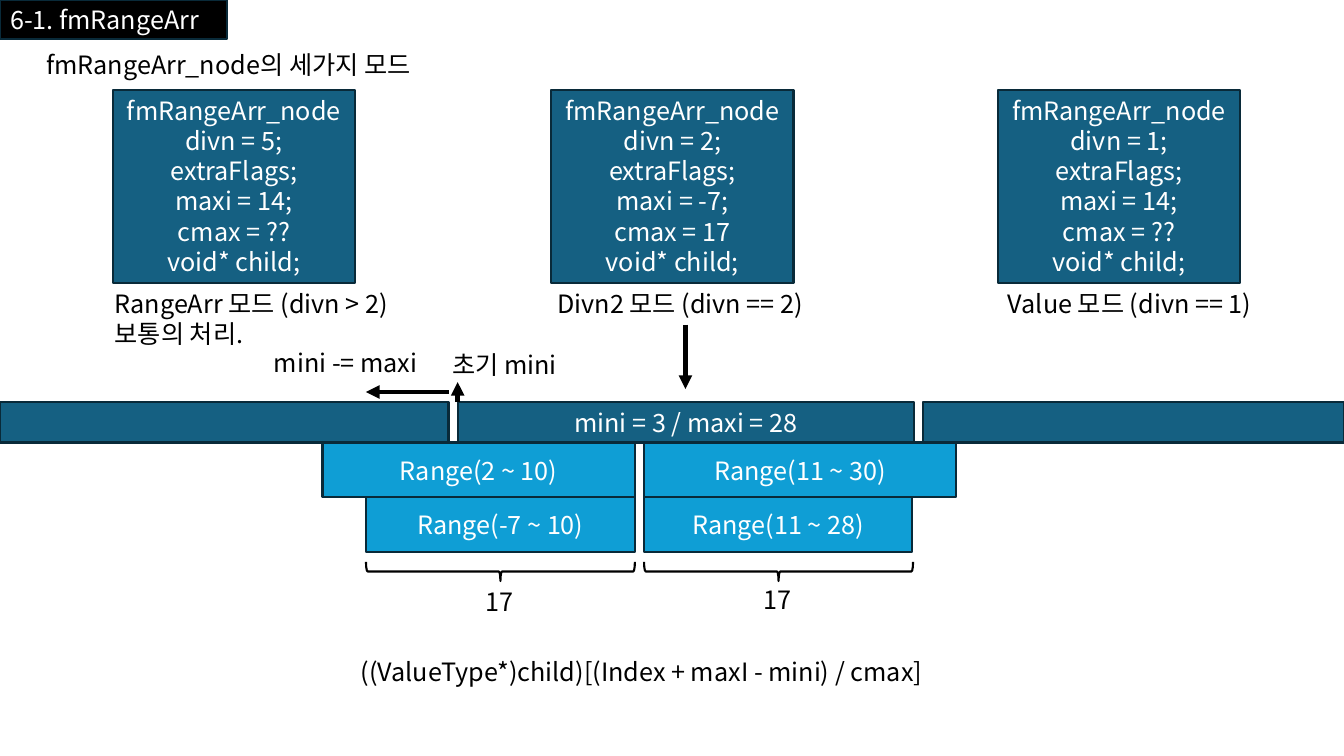
"""Build the slide on the three modes of fmRangeArr_node."""
from lxml import etree
from pptx import Presentation
from pptx.dml.color import RGBColor
from pptx.enum import shapes as es, text as et
from pptx.oxml.ns import qn
from pptx.util import Pt

FONT = "Noto Sans CJK KR"
HUES = {"ink": "000000", "page": "FFFFFF", "edge": "092A39",
        "deep": "156082", "sky": "0F9ED5"}
WIDE, TALL = 960, 540

TITLE = "6-1. fmRangeArr"
NODES = [(80.6, 5, "14", "??"), (393.8, 2, "-7", "17"), (712.8, 1, "14", "??")]
NODE_TOP, NODE_W, NODE_H = 64.3, 173, 138

NOTES = [
    (26, 31.7, 322, ["fmRangeArr_node의 세가지 모드"]),
    (74.9, 202.3, 223, ["RangeArr 모드 (divn > 2)", "보통의 처리."]),
    (391, 202.3, 198, ["Divn2 모드 (divn == 2)"]),
    (712.8, 202.3, 209.5, ["Value 모드 (divn == 1)"]),
    (316, 246.2, 99.4, ["초기 mini"]),
    (188.6, 244.8, 124.6, ["mini -= maxi"]),
    (339.8, 415.4, 36, ["17"]),
    (538.6, 414, 36, ["17"]),
    (250.6, 465.1, 480, ["((ValueType*)child)[(Index + maxI - mini) / cmax]"]),
]

BAR_TOP, BAR_H, STEP = 287.3, 28.8, 39.2
FIRST, LAST, GAP = 326.9, 653, 6.5
LEFT, RIGHT, INNER = 453.5, 460, 261.4
BARS = [(0, FIRST - GAP, ""), (FIRST, LAST, "mini = 3 / maxi = 28"),
        (LAST + GAP, WIDE, "")]
RANGES = [
    [(230.4, LEFT, "Range(2 ~ 10)"), (RIGHT, 683.2, "Range(11 ~ 30)")],
    [(INNER, LEFT, "Range(-7 ~ 10)"), (RIGHT, 651.6, "Range(11 ~ 28)")],
]
SPANS = [(INNER, LEFT), (RIGHT, LAST - 0.8)]
BRACE_Y, BRACE_H = 408.2, 13.7
ARROWS = [(489.6, 231.8, 489.6, 277.9), (FIRST, BAR_TOP, FIRST, 272.9),
          (FIRST - GAP, 280, INNER, 280)]


def hue(key):
    return RGBColor.from_string(HUES[key])


def write(shape, lines, key, align, anchor):
    frame = shape.text_frame
    frame.text = "\n".join(lines)
    frame.word_wrap = True
    frame.auto_size = et.MSO_AUTO_SIZE.NONE
    frame.vertical_anchor = anchor
    frame.margin_left = frame.margin_right = Pt(7.2)
    frame.margin_top = frame.margin_bottom = Pt(3.6)
    for para in frame.paragraphs:
        para.alignment = align
        for run in para.runs:
            run.font.size = Pt(18)
            run.font.name = FONT
            run.font.color.rgb = hue(key)
            props = run.font._element
            etree.SubElement(props, qn("a:ea")).set("typeface", FONT)


def paint(shape, fill, edge="edge"):
    shape.fill.solid()
    shape.fill.fore_color.rgb = hue(fill)
    shape.line.color.rgb = hue(edge)
    shape.line.width = Pt(1.5)


def block(slide, x, y, w, h, fill, lines, anchor=et.MSO_ANCHOR.MIDDLE):
    box = slide.shapes.add_shape(es.MSO_SHAPE.RECTANGLE, Pt(x), Pt(y), Pt(w), Pt(h))
    box.shadow.inherit = False
    paint(box, fill)
    write(box, lines, "page", et.PP_ALIGN.CENTER, anchor)


def brace(slide, start, end):
    span = end - start
    x = (start + end - BRACE_H) / 2
    mark = slide.shapes.add_shape(es.MSO_SHAPE.RIGHT_BRACE, Pt(x),
                                  Pt(BRACE_Y - span / 2), Pt(BRACE_H), Pt(span))
    mark.rotation = 90
    mark.shadow.inherit = False
    mark.fill.background()
    mark.line.color.rgb = hue("ink")
    mark.line.width = Pt(1.5)


def arrow(slide, *ends):
    link = slide.shapes.add_connector(es.MSO_CONNECTOR.STRAIGHT, *map(Pt, ends))
    link.line.color.rgb = hue("ink")
    link.line.width = Pt(3.25)
    etree.SubElement(link.line._get_or_add_ln(), qn("a:tailEnd")).set("type", "triangle")
    etree.SubElement(link._element.spPr, qn("a:effectLst"))


def main():
    deck = Presentation()
    deck.slide_width, deck.slide_height = Pt(WIDE), Pt(TALL)
    slide = deck.slides.add_slide(deck.slide_layouts[5])

    head = slide.shapes.title
    head.left, head.top, head.width, head.height = Pt(0), Pt(0), Pt(162), Pt(28)
    paint(head, "ink")
    write(head, [TITLE], "page", et.PP_ALIGN.LEFT, et.MSO_ANCHOR.MIDDLE)

    for x, divn, maxi, cmax in NODES:
        lines = ["fmRangeArr_node", f"divn = {divn};", "extraFlags;",
                 f"maxi = {maxi};", f"cmax = {cmax}", "void* child;"]
        block(slide, x, NODE_TOP, NODE_W, NODE_H, "deep", lines, et.MSO_ANCHOR.TOP)

    for row, pair in enumerate(RANGES):
        y = BAR_TOP + BAR_H + row * STEP
        for start, end, label in pair:
            block(slide, start, y, end - start, STEP, "sky", [label])
    for start, end, label in BARS:
        block(slide, start, BAR_TOP, end - start, BAR_H, "deep", [label])

    for span in SPANS:
        brace(slide, *span)
    for ends in ARROWS:
        arrow(slide, *ends)
    for x, y, w, lines in NOTES:
        note = slide.shapes.add_textbox(Pt(x), Pt(y), Pt(w), Pt(7.2 + 21.8 * len(lines)))
        write(note, lines, "ink", et.PP_ALIGN.LEFT, et.MSO_ANCHOR.TOP)

    deck.save("out.pptx")


if __name__ == "__main__":
    main()
